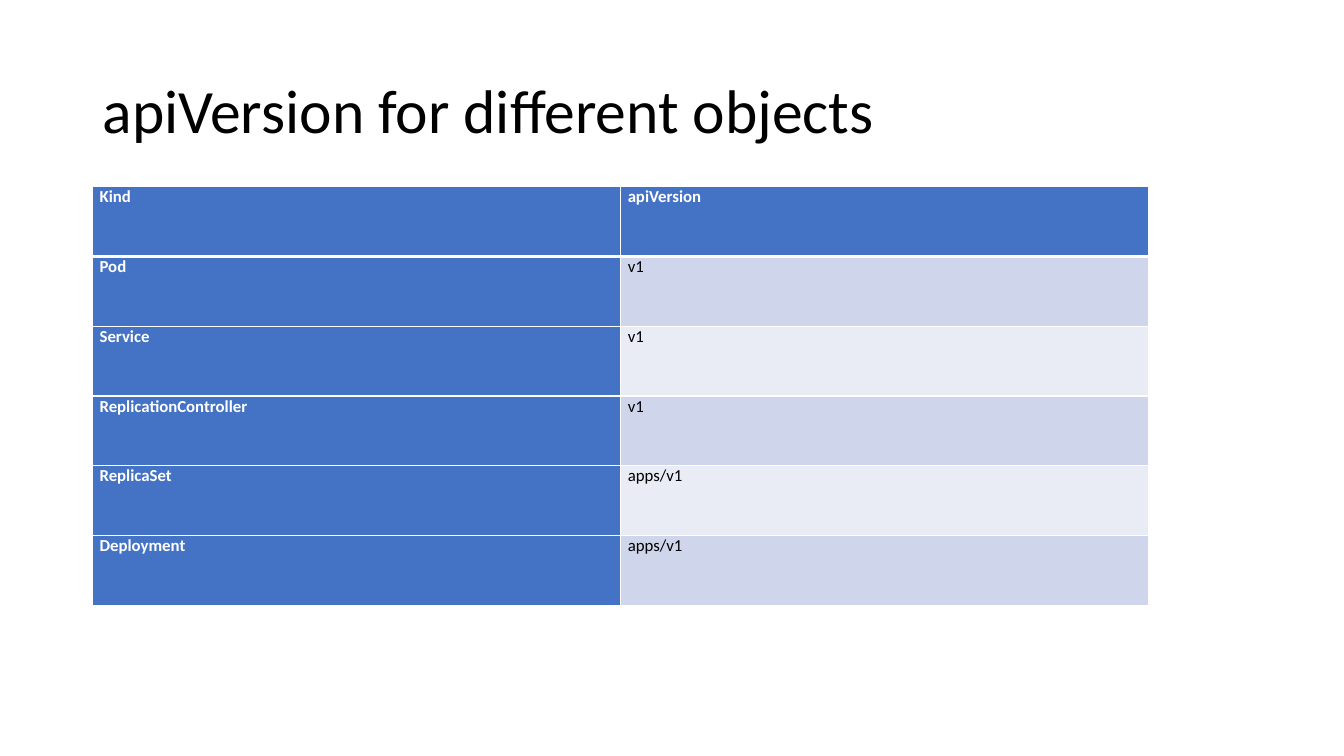
import pptx
import pptx.dml.color
import pptx.enum.text
import pptx.oxml
import pptx.oxml.ns
import pptx.util
from pptx.util import Cm

COLORS = {
    "text": "000000",
    "white": "FFFFFF",
    "accent": "4472C4",
    "band_dark": "CFD5EA",
    "band_light": "E9EBF5",
}

API_VERSIONS = [
    ("Kind", "apiVersion"),
    ("Pod", "v1"),
    ("Service", "v1"),
    ("ReplicationController", "v1"),
    ("ReplicaSet", "apps/v1"),
    ("Deployment", "apps/v1"),
]


def rgb(name):
    return pptx.dml.color.RGBColor.from_string(COLORS[name])


def write_text(frame, text, size=12, color="text", bold=False,
               font="Calibri", line_spacing=1.0):
    """Put one formatted, left-aligned paragraph into a text frame."""
    paragraph = frame.paragraphs[0]
    paragraph.alignment = pptx.enum.text.PP_ALIGN.LEFT
    paragraph.line_spacing = line_spacing
    run = paragraph.add_run()
    run.text = text
    run.font.name = font
    run.font.size = pptx.util.Pt(size)
    run.font.bold = bold
    run.font.color.rgb = rgb(color)


def set_borders(cell, **widths):
    """Draw white cell borders; widths in points by side: L, R, T, B."""
    properties = cell._tc.get_or_add_tcPr()
    for position, side in enumerate("LRTB"):
        line = pptx.oxml.parse_xml(
            f'<a:ln{side} {pptx.oxml.ns.nsdecls("a")} '
            f'w="{pptx.util.Pt(widths.get(side, 1))}"><a:solidFill>'
            f'<a:srgbClr val="{COLORS["white"]}"/></a:solidFill></a:ln{side}>')
        properties.insert(position, line)


class SlideBuilder:
    margin_left = Cm(2.33)

    def __init__(self, deck):
        self.slide = deck.slides.add_slide(deck.slide_layouts[5])

    def title(self, text):
        heading = self.slide.shapes.title
        heading.left, heading.top = self.margin_left, Cm(1.01)
        heading.width, heading.height = Cm(29.21), Cm(3.68)
        frame = heading.text_frame
        frame.word_wrap = True
        frame.auto_size = pptx.enum.text.MSO_AUTO_SIZE.NONE
        frame.vertical_anchor = pptx.enum.text.MSO_ANCHOR.MIDDLE
        write_text(frame, text, size=44, line_spacing=0.9)

    def table(self, rows, top, column_width, row_height):
        count = len(rows[0])
        grid = self.slide.shapes.add_table(
            len(rows), count, self.margin_left, top,
            column_width * count, row_height * len(rows)).table
        grid.first_col = True
        for column in grid.columns:
            column.width = column_width
        for r, values in enumerate(rows):
            grid.rows[r].height = row_height
            for c, value in enumerate(values):
                self.cell(grid.cell(r, c), value, r, c)

    def cell(self, cell, value, row, column):
        is_heading = row == 0 or column == 0
        band = "band_dark" if row % 2 else "band_light"
        cell.margin_left = cell.margin_right = Cm(0.18)
        cell.margin_top = cell.margin_bottom = 0
        cell.fill.solid()
        cell.fill.fore_color.rgb = rgb("accent" if is_heading else band)
        # A thick rule separates the header row from the body
        set_borders(cell, T=3 if row == 1 else 1, B=3 if row == 0 else 1)
        write_text(cell.text_frame, value, bold=is_heading,
                   color="white" if is_heading else "text")


def main():
    deck = pptx.Presentation()
    deck.slide_width, deck.slide_height = Cm(33.87), Cm(19.05)
    builder = SlideBuilder(deck)

    # Heading
    builder.title("apiVersion for different objects")

    # Object kinds and their API versions
    builder.table(API_VERSIONS, top=Cm(4.7),
                  column_width=Cm(13.31), row_height=Cm(1.76))

    deck.save("out.pptx")


if __name__ == "__main__":
    main()
